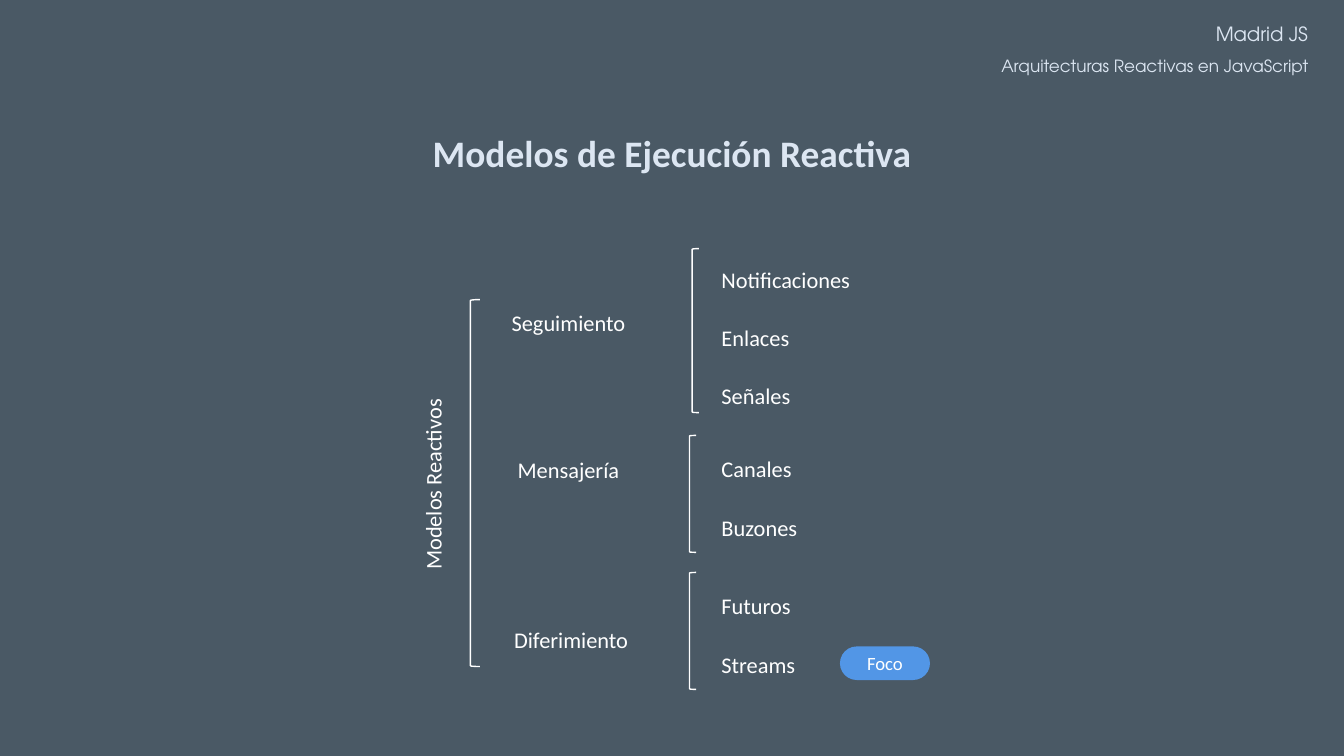
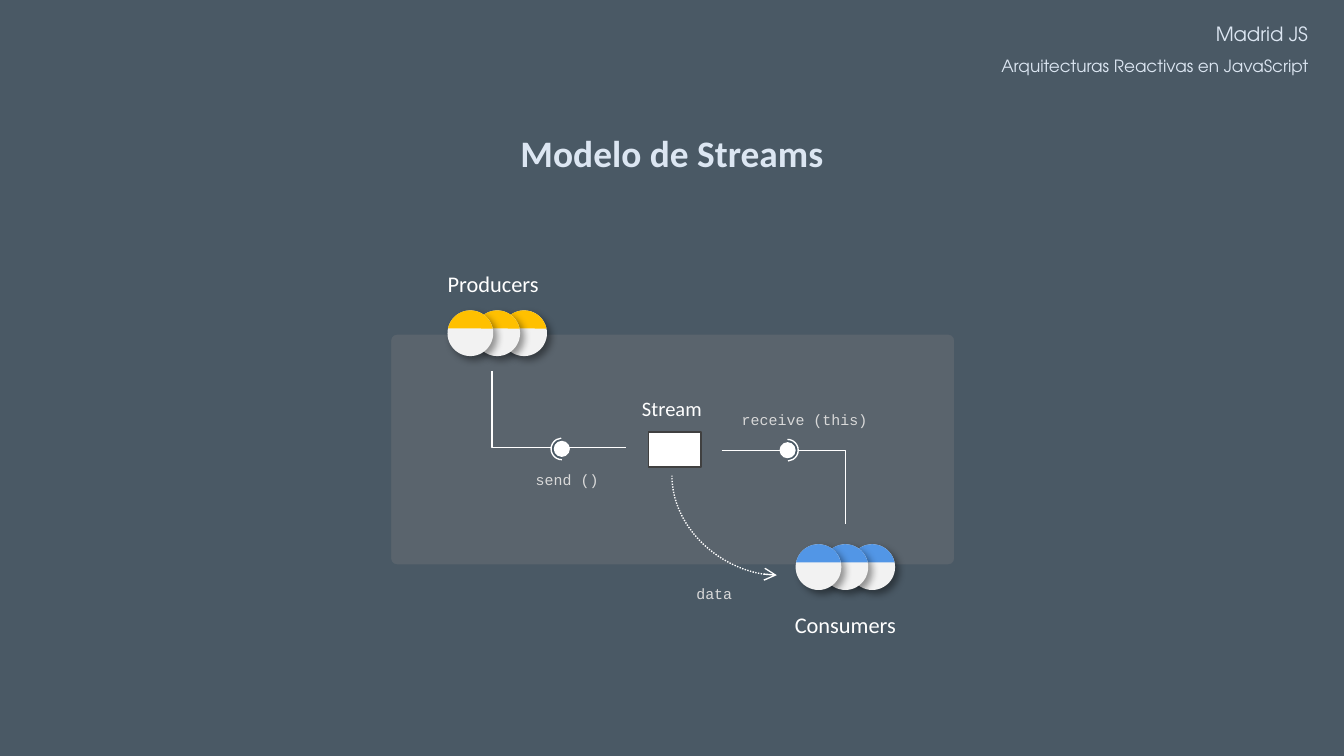
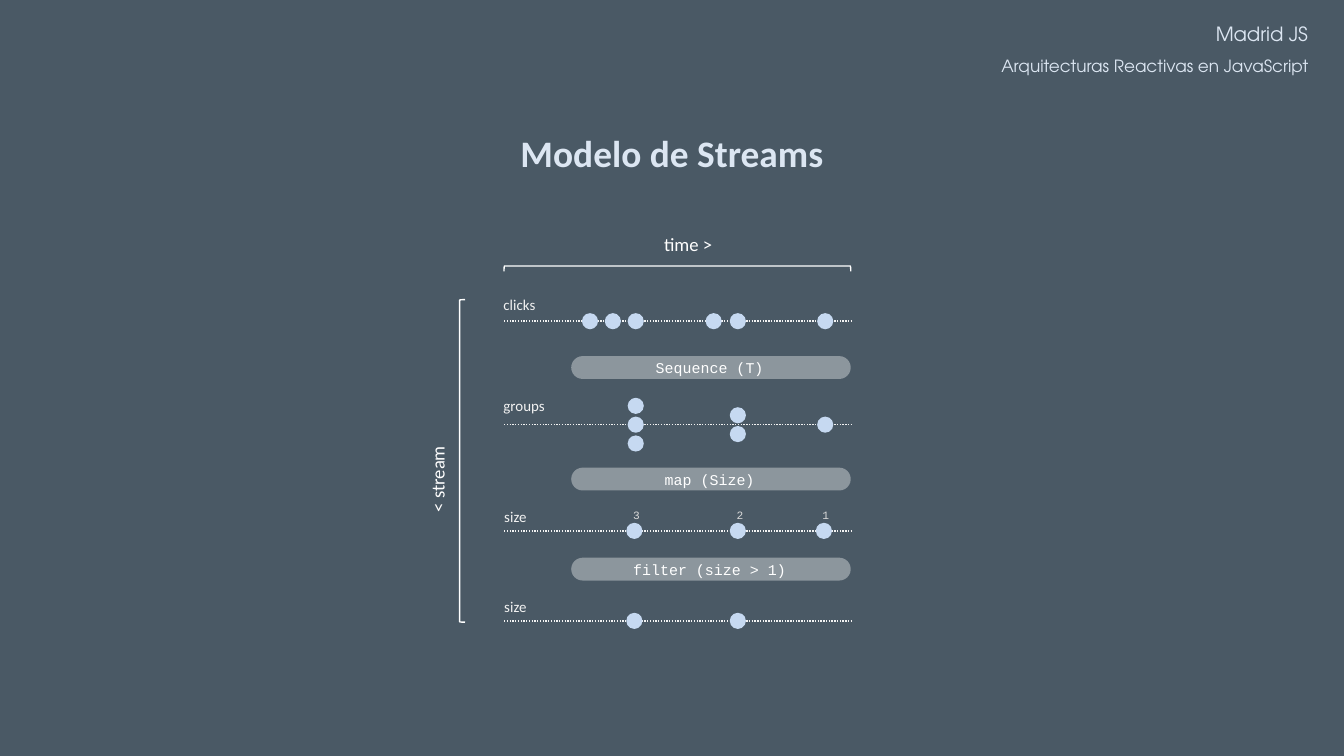
from dataclasses import dataclass, replace

from lxml.etree import SubElement
from pptx import Presentation
from pptx.dml.color import RGBColor
from pptx.enum.dml import MSO_LINE
from pptx.enum.shapes import MSO_CONNECTOR, MSO_SHAPE
from pptx.enum.text import MSO_ANCHOR, MSO_AUTO_SIZE, PP_ALIGN
from pptx.oxml.ns import qn
from pptx.presentation import Presentation as Deck
from pptx.shapes.autoshape import Shape
from pptx.shapes.connector import Connector
from pptx.shapes.shapetree import GroupShapes, SlideShapes
from pptx.slide import Slide
from pptx.text.text import TextFrame
from pptx.util import Inches, Length, Pt

LEFT, CENTER, RIGHT = PP_ALIGN.LEFT, PP_ALIGN.CENTER, PP_ALIGN.RIGHT
TOP, MIDDLE = MSO_ANCHOR.TOP, MSO_ANCHOR.MIDDLE
RECTANGLE, ROUNDED, OVAL = MSO_SHAPE.RECTANGLE, MSO_SHAPE.ROUNDED_RECTANGLE, MSO_SHAPE.OVAL
ARC, CHORD, BRACKET = MSO_SHAPE.ARC, MSO_SHAPE.CHORD, MSO_SHAPE.LEFT_BRACKET
STRAIGHT, ELBOW, CURVE = MSO_CONNECTOR.STRAIGHT, MSO_CONNECTOR.ELBOW, MSO_CONNECTOR.CURVE
DOTTED = MSO_LINE.ROUND_DOT
FIT_SHAPE = MSO_AUTO_SIZE.SHAPE_TO_FIT_TEXT

WHITE, PALE, SILVER = "FFFFFF", "F2F2F2", "D9D9D9"
SLATE, PANEL_EDGE, GRAY, DARK = "2B3C4B", "4A5965", "808080", "404040"
ICE, SKY, BLUE, AMBER = "DCE6F2", "C6D9F1", "5296E6", "FFC000"
SANS, MONO, HEADER_FONT = "Calibri", "Courier New", "TeX Gyre Adventor"

Box = tuple[float, float, float, float]
Point = tuple[float, float]
Shapes = SlideShapes | GroupShapes


@dataclass(frozen=True)
class TextStyle:
    """Font, placement and margins of a text."""

    size: float
    color: str = WHITE
    font: str = SANS
    bold: bool = False
    align: PP_ALIGN = CENTER
    anchor: MSO_ANCHOR = TOP
    insets: Box = (0.1, 0.05, 0.1, 0.05)
    wrap: bool = True
    spacing: float | Length | None = None


@dataclass(frozen=True)
class Branch:
    """A model family with its bracket and its members."""

    name: str
    name_at: Point
    bracket: Box
    members: list[str]
    members_at: Box


@dataclass(frozen=True)
class Track:
    """A timeline with stacks of events given as centre and count."""

    label: str
    label_top: float
    label_width: float
    y: float
    stacks: list[tuple[float, int]]


@dataclass(frozen=True)
class Actors:
    """A row of overlapping balls with a caption."""

    caption: str
    caption_at: Point
    left: float
    top: float
    color: str


FLUSH = (0.1, 0, 0.1, 0.05)
TITLE = TextStyle(20, ICE, bold=True, wrap=False)
HEADER = TextStyle(9, ICE, HEADER_FONT, align=RIGHT, spacing=Pt(14.6))
LABEL = TextStyle(12, insets=FLUSH)
MEMBERS = TextStyle(12, align=LEFT, insets=FLUSH, spacing=2.0)
AXIS = TextStyle(10, insets=FLUSH)
BADGE = TextStyle(10, anchor=MIDDLE)
STREAM = TextStyle(11, anchor=MIDDLE, insets=(0.1, 0.08, 0.1, 0.08))
CODE = TextStyle(8, SILVER, MONO)
CODE_LEFT = replace(CODE, align=LEFT)
COUNT = TextStyle(6, SILVER, MONO, insets=(0.05, 0.05, 0.05, 0.05))
OPERATOR = TextStyle(8, font=MONO, anchor=MIDDLE, insets=(0.08, 0.05, 0.1, 0.05))
TRACK_LABEL = TextStyle(8, PALE, insets=(0.06, 0.05, 0.06, 0.05), wrap=False)

BRANCHES = [
    Branch("Seguimiento", (3.61, 2.3), (5.15, 1.85, 0.05, 1.22),
           ["Notificaciones", "Enlaces", "Señales"], (5.27, 1.78, 1.24, 1.29)),
    Branch("Mensajería", (3.61, 3.39), (5.13, 3.24, 0.05, 0.87),
           ["Canales", "Buzones"], (5.27, 3.19, 1.24, 0.96)),
    Branch("Diferimiento", (3.63, 4.66), (5.13, 4.26, 0.05, 0.87),
           ["Futuros", "Streams"], (5.27, 4.21, 1.24, 0.96)),
]
ACTORS = [
    Actors("Producers", (2.96, 2.01), 3.33, 2.31, AMBER),
    Actors("Consumers", (5.58, 4.55), 5.92, 4.05, BLUE),
]
TRACKS = [
    Track("clicks", 2.15, 0.39, 2.39,
          [(4.39, 1), (4.56, 1), (4.73, 1), (5.31, 1), (5.49, 1), (6.14, 1)]),
    Track("groups", 2.9, 0.46, 3.16, [(4.73, 3), (5.49, 2), (6.14, 1)]),
    Track("size", 3.73, 0.33, 3.95, [(4.72, 1), (5.49, 1), (6.13, 1)]),
    Track("size", 4.4, 0.33, 4.62, [(4.72, 1), (5.49, 1)]),
]
OPERATORS = [("Sequence (T)", 2.65), ("map (Size)", 3.48), ("filter (size > 1)", 4.15)]
COUNTS = [("3", 4.65), ("2", 5.42), ("1", 6.06)]
DOT_SIZE, DOT_GAP = 0.12, 0.14
BALL_SIZE, BALL_STEP = 0.34, 0.2


def rgb(color: str) -> RGBColor:
    """Turn a hex string into a colour."""
    return RGBColor.from_string(color)


def inches(box: Box) -> list[Length]:
    """Turn a box in inches into lengths."""
    return [Inches(value) for value in box]


def write(frame: TextFrame, lines: list[str], style: TextStyle) -> None:
    """Fill a text frame with one paragraph per line."""
    frame.text = "\n".join(lines)
    frame.word_wrap = style.wrap
    frame.vertical_anchor = style.anchor
    (frame.margin_left, frame.margin_top,
     frame.margin_right, frame.margin_bottom) = inches(style.insets)
    for index, para in enumerate(frame.paragraphs):
        para.alignment = style.align
        para.line_spacing = style.spacing
        if index:
            para.space_before = Pt(style.size * 0.2)
        for span in para.runs:
            span.font.name = style.font
            span.font.size = Pt(style.size)
            span.font.bold = style.bold
            span.font.color.rgb = rgb(style.color)


def add_text(page: Slide, box: Box, lines: list[str], style: TextStyle,
             rotation: float = 0) -> Shape:
    """Add a text box."""
    text_box = page.shapes.add_textbox(*inches(box))
    text_box.rotation = rotation
    write(text_box.text_frame, lines, style)
    return text_box


def add_figure(shapes: Shapes, kind: MSO_SHAPE, box: Box, fill: str | None = None,
               line: str | None = None, width: float = 0.75, opacity: int = 100,
               adjustments: tuple[float, ...] = (), rotation: float = 0) -> Shape:
    """Add a preset shape without the theme's shadow."""
    figure = shapes.add_shape(kind, *inches(box))
    figure.shadow.inherit = False
    figure.rotation = rotation
    for index, value in enumerate(adjustments):
        figure.adjustments[index] = value
    if fill:
        figure.fill.solid()
        figure.fill.fore_color.rgb = rgb(fill)
    else:
        figure.fill.background()
    if opacity < 100:
        color = figure.element.spPr.find(".//" + qn("a:srgbClr"))
        SubElement(color, qn("a:alpha"), val=str(opacity * 1000))
    if line:
        figure.line.color.rgb = rgb(line)
        figure.line.width = Pt(width)
    else:
        figure.line.fill.background()
    return figure


def add_bracket(page: Slide, box: Box, rotation: float = 0) -> None:
    """Add a thin white bracket."""
    add_figure(page.shapes, BRACKET, box, line=WHITE, rotation=rotation)


def add_line(page: Slide, kind: MSO_CONNECTOR, start: Point, end: Point,
             color: str = WHITE) -> Connector:
    """Add a thin connector without the theme's shadow."""
    connector = page.shapes.add_connector(kind, *inches((*start, *end)))
    connector.line.color.rgb = rgb(color)
    connector.line.width = Pt(0.75)
    SubElement(connector.element.spPr, qn("a:effectLst"))
    return connector


def add_elbow(page: Slide, start: Point, end: Point, bend: float) -> None:
    """Add an elbow that turns at a fraction of its width."""
    elbow = add_line(page, ELBOW, start, end)
    geometry = elbow.element.spPr.find(qn("a:prstGeom"))
    guides = geometry.find(qn("a:avLst"))
    if guides is None:
        guides = SubElement(geometry, qn("a:avLst"))
    SubElement(guides, qn("a:gd"), name="adj1", fmla=f"val {round(bend * 100000)}")


def add_data_arrow(page: Slide, tip: Point, tail: Point) -> None:
    """Add a dotted quarter curve with an arrowhead at its tip."""
    curve = add_line(page, CURVE, tip, tail)
    curve.element.spPr.find(qn("a:prstGeom")).set("prst", "curvedConnector2")
    curve.line.dash_style = DOTTED
    SubElement(curve.get_or_add_ln(), qn("a:headEnd"), type="arrow")


def add_socket(page: Slide, left: float, top: float, rotation: float) -> None:
    """Add a ball held by a half-round socket."""
    shapes = page.shapes.add_group_shape().shapes
    add_figure(shapes, ARC, (left, top, 0.16, 0.16), PANEL_EDGE, WHITE,
               adjustments=(162, 52.19), rotation=rotation)
    add_figure(shapes, OVAL, (left + 0.02, top + 0.02, 0.12, 0.12), WHITE)


def add_soft_shadow(figure: Shape) -> None:
    """Give a shape a blurred shadow to the lower right."""
    effects = figure.element.spPr.find(qn("a:effectLst"))
    shadow = SubElement(effects, qn("a:outerShdw"), blurRad=str(Pt(4)), dist=str(Pt(3)),
                        dir="2700000", algn="tl", rotWithShape="0")
    color = SubElement(shadow, qn("a:srgbClr"), val="000000")
    SubElement(color, qn("a:alpha"), val="40000")


def add_actors(page: Slide, actors: Actors) -> None:
    """Add three two-coloured balls, the leftmost in front."""
    shapes = page.shapes.add_group_shape().shapes
    for index in reversed(range(3)):
        box = (actors.left + index * BALL_STEP, actors.top, BALL_SIZE, BALL_SIZE)
        add_soft_shadow(add_figure(shapes, OVAL, box, PALE))
        add_figure(shapes, CHORD, box, actors.color, adjustments=(115.24, 208.95))
    add_text(page, (*actors.caption_at, 1.42, 0.21), [actors.caption], LABEL)


def add_track(page: Slide, track: Track) -> None:
    """Add a dotted timeline with its label and events."""
    line = add_line(page, STRAIGHT, (3.75, track.y), (6.33, track.y), PALE)
    line.line.dash_style = DOTTED
    add_text(page, (3.67, track.label_top, track.label_width, 0.21),
             [track.label], TRACK_LABEL)
    for center, count in track.stacks:
        shapes = page.shapes.add_group_shape().shapes if count > 1 else page.shapes
        for index in range(count):
            middle = track.y + (index - (count - 1) / 2) * DOT_GAP
            add_figure(shapes, OVAL, (center - DOT_SIZE / 2, middle - DOT_SIZE / 2,
                                      DOT_SIZE, DOT_SIZE), SKY)


def add_page(deck: Deck, title: str, width: float) -> Slide:
    """Add a slide with its centred title."""
    page = deck.slides.add_slide(deck.slide_layouts[5])
    heading = page.shapes.title
    heading.left, heading.top, heading.width, heading.height = inches(
        (5 - width / 2, 0.92, width, 0.44))
    write(heading.text_frame, [title], TITLE)
    heading.text_frame.auto_size = FIT_SHAPE
    return page


def move_to_master(deck: Deck, page: Slide) -> None:
    """Draw the shared backdrop and header and hand them to the master."""
    backdrop = add_figure(page.shapes, RECTANGLE, (0, 0, 10, 5.62), SLATE, opacity=85)
    backdrop.height = deck.slide_height
    header = add_text(page, (6.08, 0.15, 3.75, 0.35),
                      ["Madrid JS", "Arquitecturas Reactivas en JavaScript"], HEADER)
    event = header.text_frame.paragraphs[0]
    event.line_spacing = Pt(10)
    event.runs[0].font.size = Pt(10.5)
    tree = deck.slide_master.shapes.element
    for position, shape in enumerate((backdrop, header), start=2):
        tree.insert(position, shape.element)


def draw_models(page: Slide) -> None:
    """Draw the tree of reactive models."""
    add_bracket(page, (3.5, 2.23, 0.07, 2.73))
    add_text(page, (2.06, 3.5, 2.33, 0.21), ["Modelos Reactivos"], LABEL, 270)
    for branch in BRANCHES:
        add_text(page, (*branch.name_at, 1.24, 0.21), [branch.name], LABEL)
        add_bracket(page, branch.bracket)
        add_text(page, branch.members_at, branch.members, MEMBERS)
    badge = add_figure(page.shapes, ROUNDED, (6.25, 4.81, 0.67, 0.25), BLUE,
                       adjustments=(0.5,))
    write(badge.text_frame, ["Foco"], BADGE)


def draw_stream(page: Slide) -> None:
    """Draw producers and consumers joined by a stream."""
    add_figure(page.shapes, ROUNDED, (2.9, 2.48, 4.21, 1.73), GRAY, PANEL_EDGE, 1.5,
               opacity=30, adjustments=(0.03,))
    for actors in ACTORS:
        add_actors(page, actors)
    add_text(page, (4.58, 2.9, 0.84, 0.27), ["Stream"], STREAM)
    add_elbow(page, (3.66, 2.76), (4.66, 3.33), 0)
    add_socket(page, 4.1, 3.26, 180)
    add_elbow(page, (5.37, 3.35), (6.29, 3.9), 1)
    add_socket(page, 5.78, 3.27, 0)
    add_figure(page.shapes, RECTANGLE, (4.89, 3.15, 0.26, 0.39), WHITE, DARK, rotation=270)
    add_text(page, (3.8, 3.45, 0.84, 0.24), ["send ()"], CODE)
    add_text(page, (5.42, 3.01, 1.32, 0.24), ["receive (this)"], CODE_LEFT)
    add_data_arrow(page, (5.78, 4.28), (5, 3.54))
    add_text(page, (5, 4.3, 0.63, 0.24), ["data"], CODE)


def draw_timeline(page: Slide) -> None:
    """Draw the stream operators between their timelines."""
    for track in TRACKS:
        add_track(page, track)
    for name, top in OPERATORS:
        pill = add_figure(page.shapes, ROUNDED, (4.25, top, 2.08, 0.17), WHITE,
                          opacity=37, adjustments=(0.5,))
        write(pill.text_frame, [name], OPERATOR)
    for count, left in COUNTS:
        add_text(page, (left, 3.73, 0.17, 0.2), [count], COUNT)
    add_bracket(page, (3.42, 2.23, 0.04, 2.4))
    add_text(page, (4.75, 1.73, 0.74, 0.21), ["time >"], AXIS)
    add_bracket(page, (5.02, 0.71, 0.04, 2.58), 90)
    add_text(page, (2.69, 3.46, 1.17, 0.21), ["< stream"], AXIS, 270)


def main() -> None:
    """Build the deck and save it."""
    deck = Presentation()
    deck.slide_width = Inches(10)
    deck.slide_height = deck.slide_width * 9 // 16
    models = add_page(deck, "Modelos de Ejecución Reactiva", 3.79)
    move_to_master(deck, models)
    draw_models(models)
    draw_stream(add_page(deck, "Modelo de Streams", 2.48))
    draw_timeline(add_page(deck, "Modelo de Streams", 2.48))
    deck.save("out.pptx")


if __name__ == "__main__":
    main()
